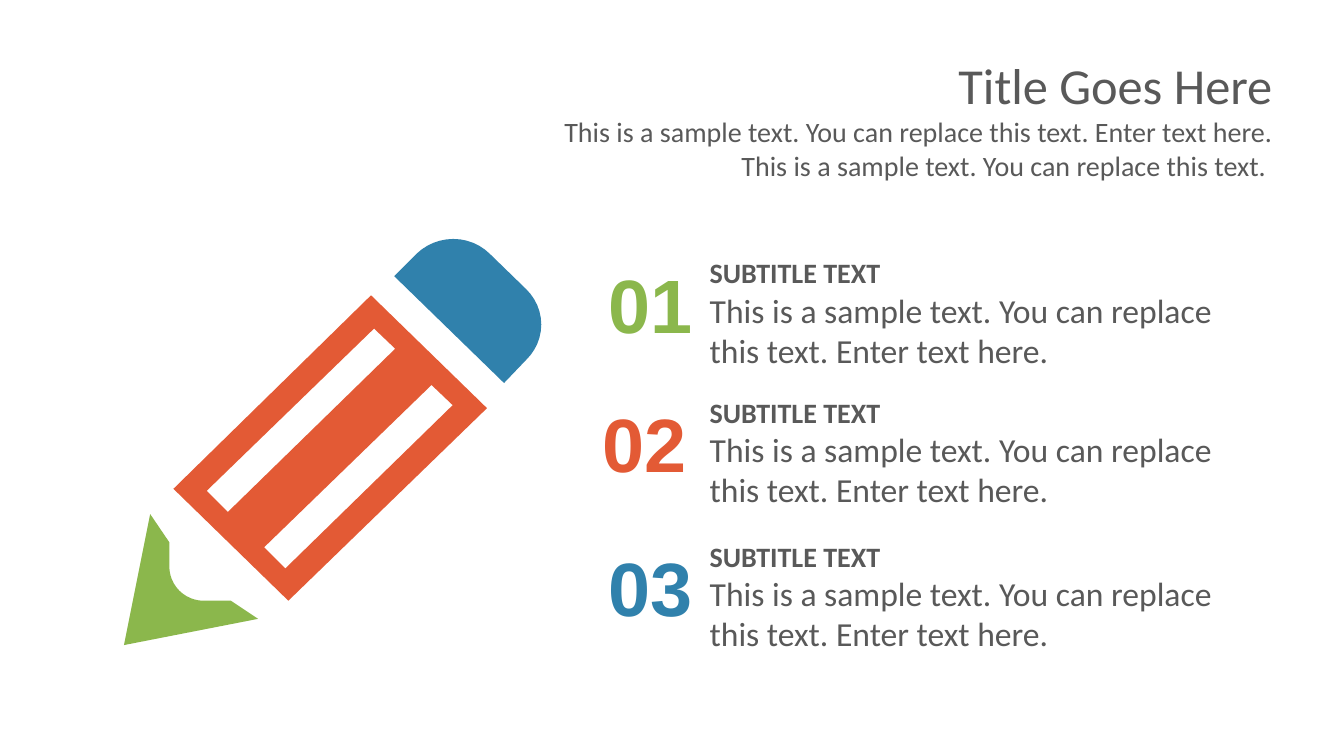
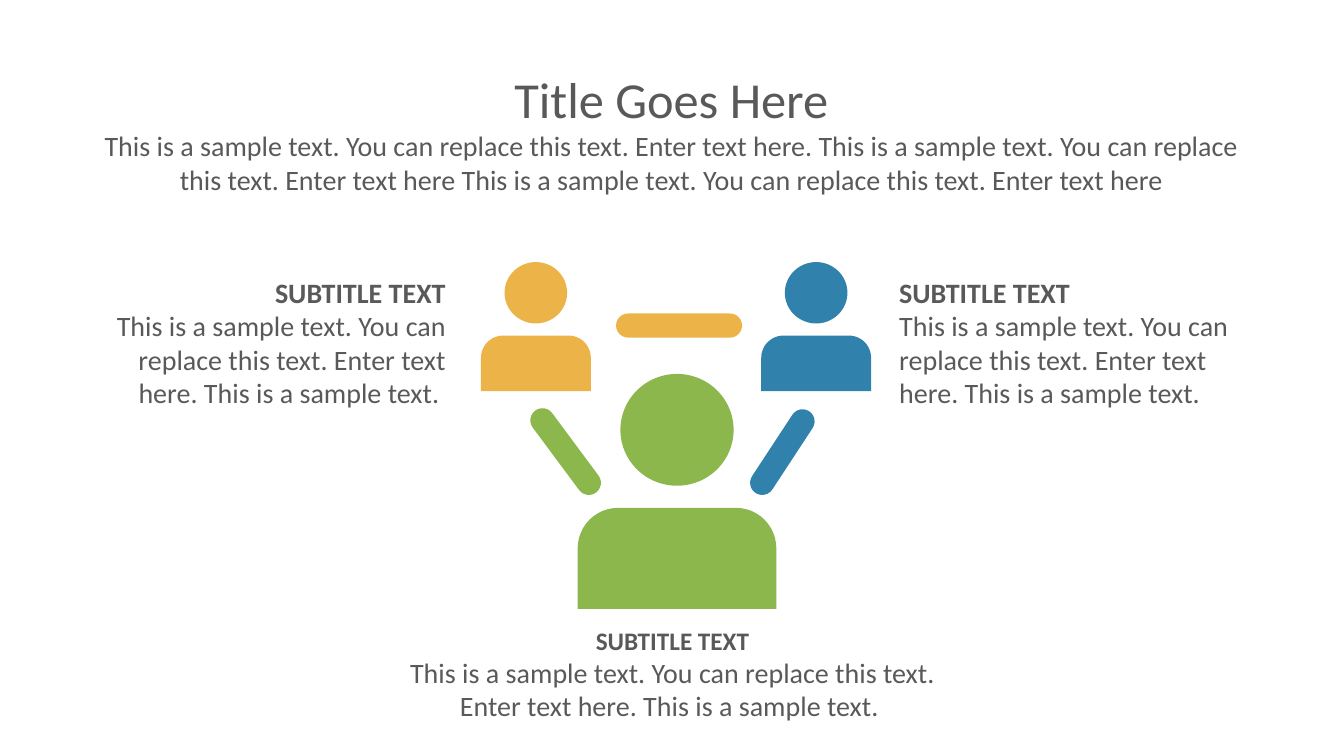
"""Build two infographic slides: a pencil with three steps and a linked team."""
from dataclasses import dataclass
from math import atan2, cos, degrees, hypot, pi, sin

from pptx import Presentation
from pptx.dml.color import RGBColor
from pptx.enum.shapes import MSO_SHAPE as Preset
from pptx.enum.text import MSO_AUTO_SIZE as AutoSize, PP_ALIGN as Align
from pptx.util import Inches, Pt


@dataclass(frozen=True)
class Theme:
    """Colours, fonts and type sizes shared by the slides."""
    green: str = "8BB74C"
    orange: str = "E35A35"
    blue: str = "3081AC"
    yellow: str = "ECB448"
    ink: str = "595959"
    font: str = "Calibri"
    number_font: str = "Arial"
    title: int = 36
    number: int = 54
    large: int = 24
    body: int = 20
    small: int = 18


@dataclass(frozen=True)
class Box:
    """A region in inches."""
    left: float
    top: float
    width: float
    height: float

    def inner(self, x, y, width, height):
        """Return a region offset from this one's top left corner."""
        return Box(self.left + x, self.top + y, width, height)

    def lengths(self):
        """Return left, top, width and height as lengths."""
        return [Inches(side) for side in (self.left, self.top, self.width, self.height)]


THEME = Theme()
SAMPLE = "This is a sample text. You can replace this text. "
ENTER = SAMPLE + "Enter text here. "
SUBTITLE = "SUBTITLE TEXT"


def paint(shape, color):
    """Give a shape a plain fill without line or shadow."""
    shape.shadow.inherit = False
    shape.fill.solid()
    shape.fill.fore_color.rgb = RGBColor.from_string(color)
    shape.line.fill.background()


def add_preset(slide, preset, box, color):
    """Add a plain preset shape."""
    shape = slide.shapes.add_shape(preset, *box.lengths())
    paint(shape, color)
    return shape


def add_outline(slide, box, contours, color):
    """Add a freeform whose later contours cut holes in the first."""
    contours = [[(Inches(x), Inches(y)) for x, y in points] for points in contours]
    builder = slide.shapes.build_freeform(*contours[0][0])
    for index, points in enumerate(contours):
        if index:
            builder.move_to(*points[0])
        builder.add_line_segments(points[1:], close=True)
    paint(builder.convert_to_shape(Inches(box.left), Inches(box.top)), color)


def add_text(slide, box, lines, align=Align.LEFT, color=THEME.ink, font=THEME.font):
    """Add one paragraph for each (text, size, bold) line."""
    frame = slide.shapes.add_textbox(*box.lengths()).text_frame
    frame.word_wrap = True
    frame.auto_size = AutoSize.SHAPE_TO_FIT_TEXT
    frame.text = "\n".join(text for text, _, _ in lines)
    for paragraph, (_, size, bold) in zip(frame.paragraphs, lines):
        paragraph.alignment = align
        style = paragraph.runs[0].font
        style.name, style.size, style.bold = font, Pt(size), bold
        style.color.rgb = RGBColor.from_string(color)


def add_heading(slide, box, intro, align):
    """Add the slide title with its introduction."""
    lines = [("Title Goes Here", THEME.title, False), (intro, THEME.body, False)]
    add_text(slide, box, lines, align)


def add_caption(slide, box, text, sizes, align=Align.LEFT):
    """Add a bold subtitle above a description."""
    subtitle_size, text_size = sizes
    lines = [(SUBTITLE, subtitle_size, True), (text, text_size, False)]
    add_text(slide, box, lines, align)


def quarter_arc(start, corner, end, steps=12):
    """Return points that round off a corner between two points."""
    (ax, ay), (kx, ky), (bx, by) = start, corner, end
    angles = [step * pi / 2 / steps for step in range(steps + 1)]
    return [(ax + bx - kx + (kx - bx) * cos(a) + (kx - ax) * sin(a),
             ay + by - ky + (ky - by) * cos(a) + (ky - ay) * sin(a)) for a in angles]


def add_pencil(slide, box):
    """Draw the pencil from eraser to tip."""
    eraser = [(2.68, 0.37),
              *quarter_arc((2.9, 0.15), (3.27, -0.21), (3.63, 0.15)),
              *quarter_arc((3.99, 0.5), (4.35, 0.85), (3.99, 1.2)),
              (3.77, 1.43)]
    tip = [(0.26, 2.73), (0.45, 3.01),
           *quarter_arc((0.45, 3.25), (0.45, 3.59), (0.79, 3.59)),
           (1.06, 3.59), (1.33, 3.77), (0, 4.03)]
    barrel = [(2.45, 0.56), (3.6, 1.68), (1.63, 3.59), (0.49, 2.48)]
    groove = [(2.48, 0.89), (0.82, 2.5), (1.03, 2.71), (2.69, 1.09)]
    second_groove = [(x + 0.57, y + 0.56) for x, y in groove]
    add_outline(slide, box, [eraser], THEME.blue)
    add_outline(slide, box, [tip], THEME.green)
    add_outline(slide, box, [barrel, groove, second_groove], THEME.orange)


def add_step(slide, box, number, color, indent):
    """Add a numbered step with its caption."""
    add_text(slide, box.inner(indent, 0.02, 1.06, 1.01),
             [(number, THEME.number, True)], color=color, font=THEME.number_font)
    add_caption(slide, box.inner(1.06, 0, box.width - 1.06, box.height),
                ENTER, (THEME.body, THEME.large))


def add_person(slide, box, color):
    """Draw a head above rounded shoulders."""
    head_width, head_height = 0.57 * box.width, 0.476 * box.height
    shoulders_height = 0.43 * box.height
    add_preset(slide, Preset.OVAL,
               box.inner((box.width - head_width) / 2, 0, head_width, head_height), color)
    shoulders = add_preset(
        slide, Preset.ROUND_2_SAME_RECTANGLE,
        box.inner(0, box.height - shoulders_height, box.width, shoulders_height), color)
    shoulders.adjustments[0] = 0.4


def add_link(slide, box, start, end, color, thickness=0.24):
    """Draw a round-ended bar between two points of the box."""
    (x1, y1), (x2, y2) = start, end
    length = hypot(x2 - x1, y2 - y1) + thickness
    place = box.inner((x1 + x2 - length) / 2, (y1 + y2 - thickness) / 2, length, thickness)
    bar = add_preset(slide, Preset.ROUNDED_RECTANGLE, place, color)
    bar.adjustments[0] = 0.5
    bar.rotation = degrees(atan2(y2 - y1, x2 - x1))


def add_team(slide, box):
    """Draw three people joined by three links."""
    add_person(slide, box.inner(0.96, 1.11, 1.97, 2.33), THEME.green)
    for x, color in ((0, THEME.yellow), (2.78, THEME.blue)):
        add_person(slide, box.inner(x, 0, 1.09, 1.28), color)
    for start, end, color in (((1.46, 0.63), (2.47, 0.63), THEME.yellow),
                              ((0.61, 1.57), (1.07, 2.19), THEME.green),
                              ((2.79, 2.19), (3.19, 1.58), THEME.blue)):
        add_link(slide, box, start, end, color)


def build_pencil_slide(slide):
    """Compose the pencil slide."""
    add_pencil(slide, Box(1.23, 2.37, 4.14, 4.03))
    for number, top, color, indent in (("01", 2.49, THEME.green, 0.06),
                                       ("02", 3.87, THEME.orange, 0),
                                       ("03", 5.3, THEME.blue, 0.06)):
        add_step(slide, Box(5.88, top, 6.5, 1.25), number, color, indent)
    add_heading(slide, Box(5.35, 0.49, 7.37, 1.38), ENTER + SAMPLE, Align.RIGHT)


def build_team_slide(slide):
    """Compose the team slide."""
    add_team(slide, Box(4.77, 2.6, 3.87, 3.44))
    description = ENTER + "This is a sample text. "
    sides = (THEME.body, THEME.body)
    add_caption(slide, Box(0.91, 2.68, 3.61, 1.45), description, sides, Align.RIGHT)
    add_caption(slide, Box(3.86, 6.15, 5.62, 1.08), description,
                (THEME.small, THEME.body), Align.CENTER)
    add_caption(slide, Box(8.82, 2.68, 3.61, 1.45), description, sides)
    intro = ENTER + SAMPLE + "Enter text here " + SAMPLE + "Enter text here"
    add_heading(slide, Box(0.76, 0.63, 11.8, 1.78), intro, Align.CENTER)


def main():
    """Build and save the presentation."""
    deck = Presentation()
    deck.slide_width, deck.slide_height = Inches(13.33), Inches(7.5)
    for build in (build_pencil_slide, build_team_slide):
        build(deck.slides.add_slide(deck.slide_layouts[6]))
    deck.save("out.pptx")


main()
